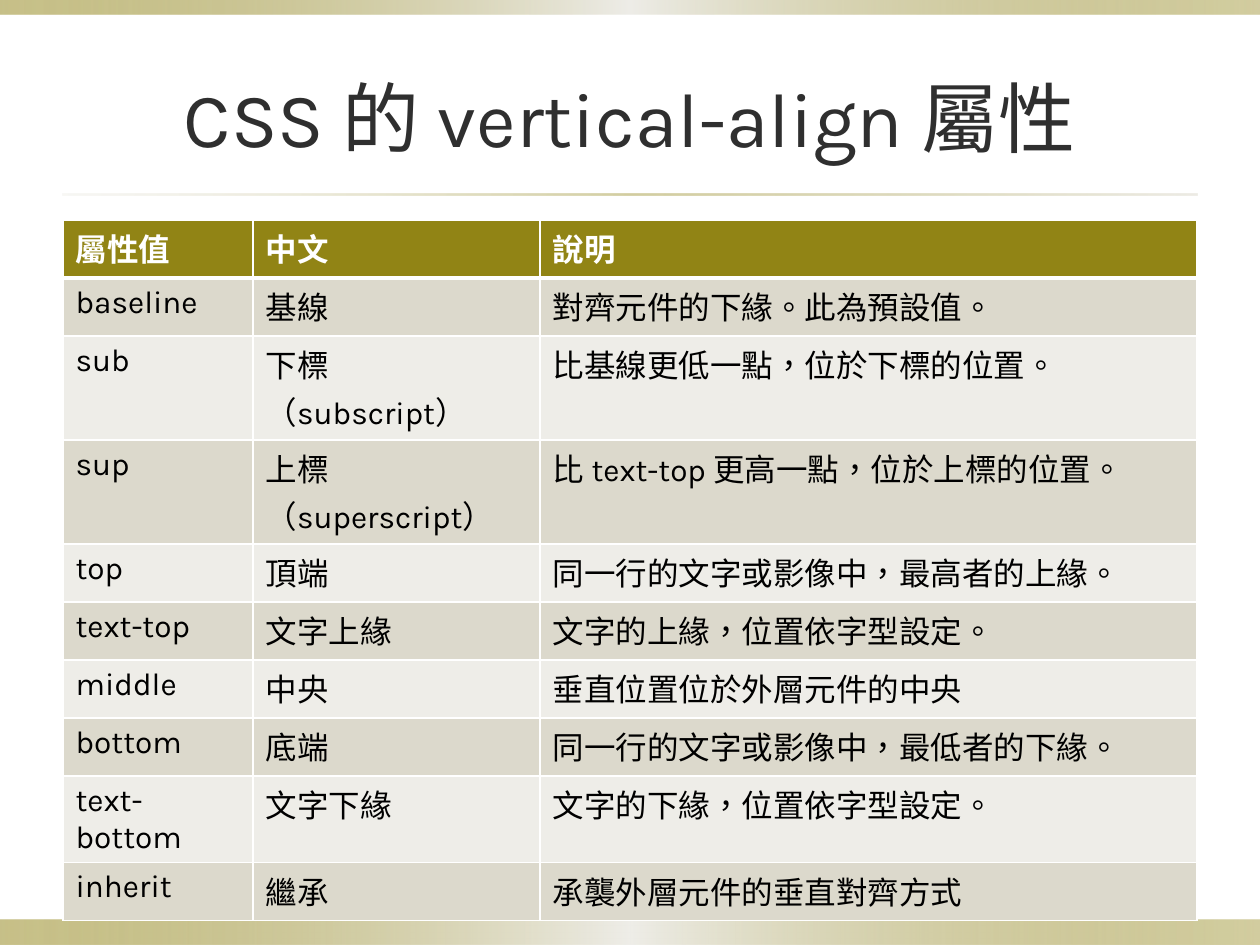
"""Build a slide that lists the values of the CSS vertical-align property."""
from lxml.etree import SubElement
from pptx import Presentation
from pptx.dml.color import RGBColor
from pptx.enum.shapes import MSO_SHAPE
from pptx.enum.text import MSO_ANCHOR, PP_ALIGN
from pptx.oxml.ns import qn
from pptx.util import Emu, Pt

COLORS = {
    "olive": "918415", "sand": "DCD9CC", "pale": "EEEDE8",
    "title": "2F2F2F", "white": "FFFFFF", "black": "000000",
}
FONT = "Karla"
TITLE = "CSS 的 vertical-align 屬性"
ROWS = [
    ("屬性值", "中文", "說明"),
    ("baseline", "基線", "對齊元件的下緣。此為預設值。"),
    ("sub", "下標（subscript）", "比基線更低一點，位於下標的位置。"),
    ("sup", "上標（superscript）", "比 text-top 更高一點，位於上標的位置。"),
    ("top", "頂端", "同一行的文字或影像中，最高者的上緣。"),
    ("text-top", "文字上緣", "文字的上緣，位置依字型設定。"),
    ("middle", "中央", "垂直位置位於外層元件的中央"),
    ("bottom", "底端", "同一行的文字或影像中，最低者的下緣。"),
    ("text-bottom", "文字下緣", "文字的下緣，位置依字型設定。"),
    ("inherit", "繼承", "承襲外層元件的垂直對齊方式"),
]
COLUMN_WIDTHS = [190, 287, 657]
ROW_HEIGHT = 58
TALL_ROWS = {"sub": 104, "sup": 104, "text-bottom": 86}
CHINESE_LINE, CHINESE_MARGIN = 47, 3
LEFT, WIDTH = 63, 1134
BAND_STOPS = [(0, "olive", 50), (50, "pale", 100), (100, "olive", 40)]
RULE_STOPS = [(0, "sand", 20), (50, "olive", 40), (100, "sand", 50)]
BARS = [
    ((0, 920, 1260, 25), BAND_STOPS),
    ((0, 0, 1260, 15), BAND_STOPS),
    ((LEFT, 194, WIDTH, 2), RULE_STOPS),
]


def px(value):
    return Emu(round(value * 914400 / 126))


def box(*lengths):
    return [px(length) for length in lengths]


def add_color(parent, name, alpha=100):
    color = SubElement(parent, qn("a:srgbClr"), val=COLORS[name])
    if alpha < 100:
        SubElement(color, qn("a:alpha"), val=str(alpha * 1000))


def write_text(frame, text, size=18, color="black", bold=False,
               align=PP_ALIGN.LEFT, line_spacing=None):
    paragraph = frame.paragraphs[0]
    paragraph.alignment = align
    paragraph.line_spacing = line_spacing
    run = paragraph.add_run()
    run.text = text
    run.font.size = Pt(size)
    run.font.bold = bold
    run.font.name = FONT
    run.font.color.rgb = RGBColor.from_string(COLORS[color])
    properties = run._r.get_or_add_rPr()
    properties.set("lang", "zh-TW")
    properties.set("altLang", "en-US")
    SubElement(properties, qn("a:ea"), typeface=FONT)


def add_bar(slide, place, stops):
    shape = slide.shapes.add_shape(MSO_SHAPE.RECTANGLE, *box(*place))
    shape.shadow.inherit = False
    shape.line.fill.background()
    shape.fill.gradient()
    shape.fill.gradient_angle = 0
    stop_list = shape._element.spPr.find(".//" + qn("a:gsLst"))
    for old_stop in list(stop_list):
        stop_list.remove(old_stop)
    for position, name, alpha in stops:
        stop = SubElement(stop_list, qn("a:gs"), pos=str(position * 1000))
        add_color(stop, name, alpha)


def set_borders(cell, **widths):
    properties = cell._tc.get_or_add_tcPr()
    for side in ("lnL", "lnR", "lnT", "lnB"):
        width = Pt(widths.get(side, 1))
        line = SubElement(properties, qn("a:" + side), w=str(width))
        add_color(SubElement(line, qn("a:solidFill")), "white")


def add_values_table(slide):
    heights = [TALL_ROWS.get(values[0], ROW_HEIGHT) for values in ROWS]
    place = box(LEFT, 220, WIDTH, sum(heights))
    table = slide.shapes.add_table(len(ROWS), len(COLUMN_WIDTHS), *place).table
    for column, width in zip(table.columns, COLUMN_WIDTHS):
        column.width = px(width)
    for row_index, values in enumerate(ROWS):
        table.rows[row_index].height = px(heights[row_index])
        header = row_index == 0
        fill = "olive" if header else ("pale", "sand")[row_index % 2]
        for column_index, value in enumerate(values):
            cell = table.cell(row_index, column_index)
            set_borders(cell, lnB=3 if header else 1, lnT=3 if row_index == 1 else 1)
            cell.fill.solid()
            cell.fill.fore_color.rgb = RGBColor.from_string(COLORS[fill])
            chinese = not value.isascii()
            if chinese:
                cell.margin_top = px(CHINESE_MARGIN)
            write_text(cell.text_frame, value, bold=header,
                       color="white" if header else "black",
                       line_spacing=Pt(CHINESE_LINE * 72 / 126) if chinese else None)


def main():
    presentation = Presentation()
    presentation.slide_width, presentation.slide_height = box(1260, 945)
    slide = presentation.slides.add_slide(presentation.slide_layouts[5])
    for place, stops in BARS:
        add_bar(slide, place, stops)
    title = slide.shapes.title
    title.left, title.top, title.width, title.height = box(LEFT, 38, WIDTH, 157)
    title.text_frame.vertical_anchor = MSO_ANCHOR.MIDDLE
    write_text(title.text_frame, TITLE, size=44, color="title", align=PP_ALIGN.CENTER)
    add_values_table(slide)
    presentation.save("out.pptx")


if __name__ == "__main__":
    main()
